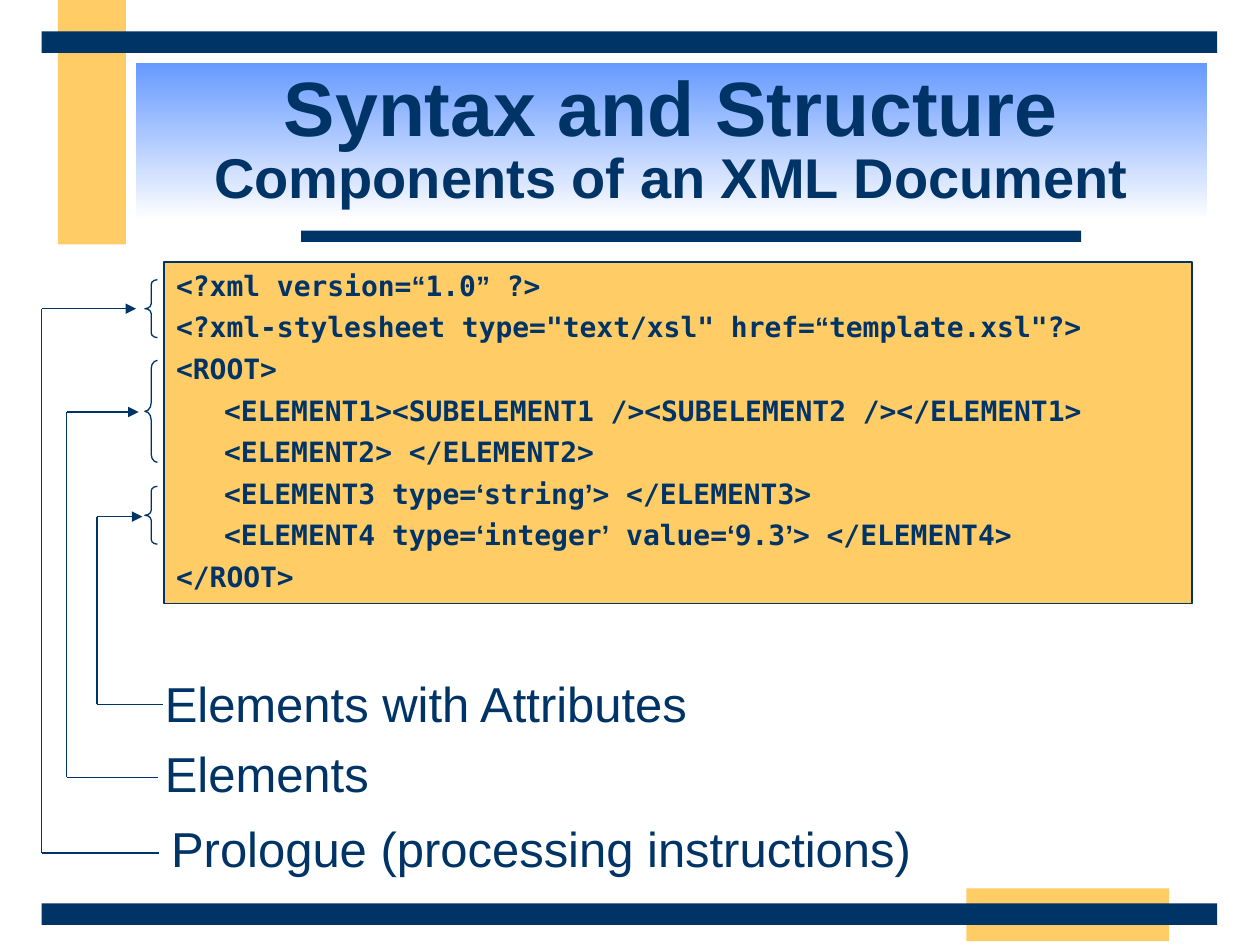
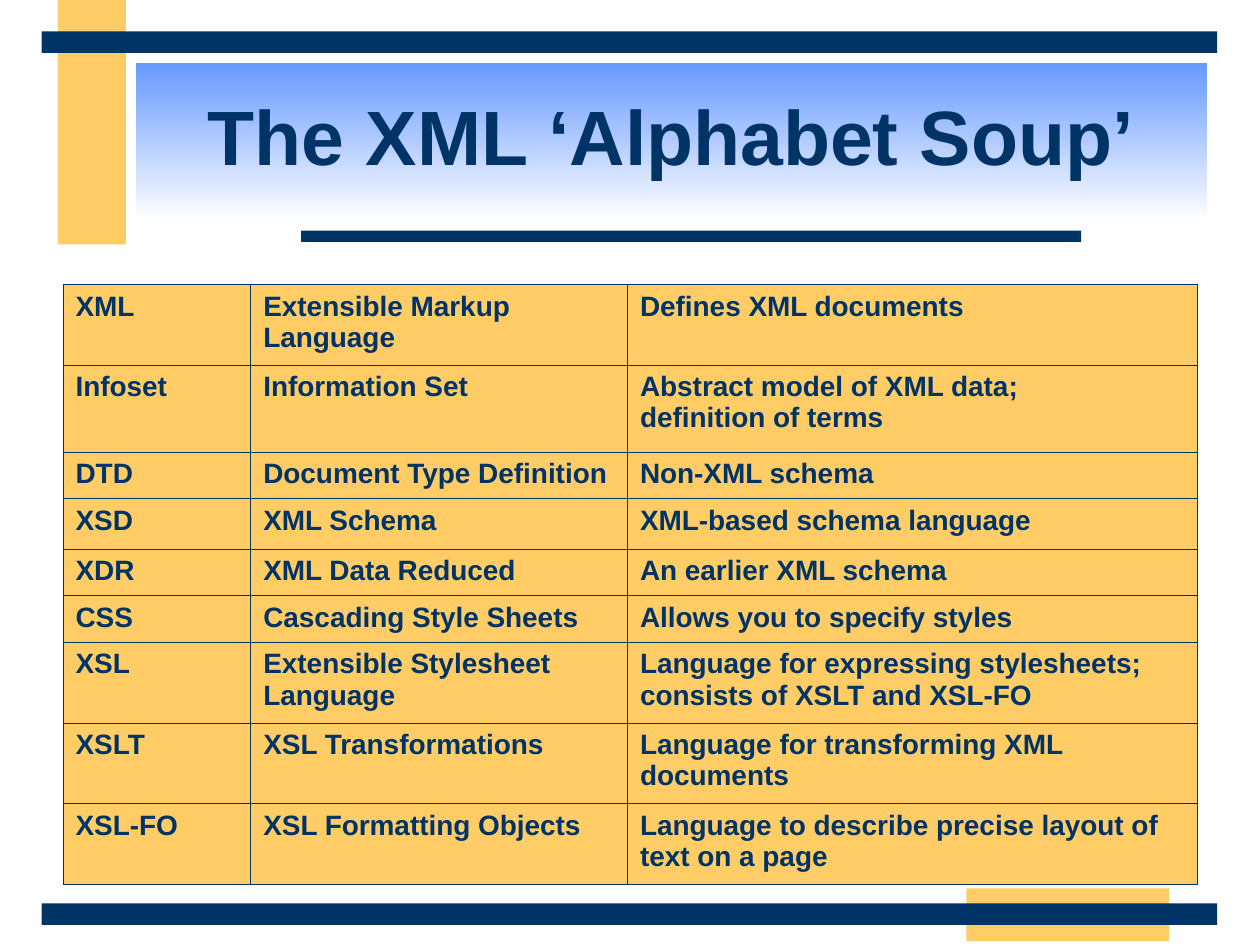
from dataclasses import dataclass
from itertools import groupby, pairwise

from lxml.etree import SubElement
from pptx import Presentation
from pptx.dml.color import RGBColor
from pptx.enum.shapes import MSO_CONNECTOR, MSO_SHAPE
from pptx.enum.text import MSO_ANCHOR, MSO_AUTO_SIZE, PP_ALIGN
from pptx.oxml.ns import qn
from pptx.util import Inches, Pt


@dataclass(frozen=True)
class Theme:
    navy: RGBColor = RGBColor(0x00, 0x33, 0x66)
    gold: RGBColor = RGBColor(0xFF, 0xCC, 0x66)
    sky: RGBColor = RGBColor(0x66, 0x99, 0xFF)
    white: RGBColor = RGBColor(0xFF, 0xFF, 0xFF)
    font: str = "Arial"
    code_font: str = "DejaVu Sans Mono"
    title: int = 44
    subtitle: int = 32
    label: int = 28
    small: int = 16
    hairline: float = 0.75


theme = Theme()
deck = Presentation()
deck.slide_width, deck.slide_height = Inches(10), Inches(7.5)

# The slide is a grid of 100 columns by 75 rows of square cells
CELL = deck.slide_width / 100


def grid(*cells):
    return [round(count * CELL) for count in cells]


def add_span(para, text, size, bold=True, font=theme.font):
    span = para.add_run()
    span.text = text
    span.font.name, span.font.size, span.font.bold = font, Pt(size), bold
    span.font.color.rgb = theme.navy


# Slides and their titles: one (text, size) pair per line
TITLES = [
    [("Syntax and Structure", theme.title),
     ("Components of an XML Document", theme.subtitle)],
    [("The XML ‘Alphabet Soup’", theme.title)],
]
layout = deck.slide_layouts[5]
for lines in TITLES:
    title = deck.slides.add_slide(layout).shapes.title
    title.left, title.top, title.width, title.height = grid(10.8, 5, 85, 12.5)
    title.fill.gradient()
    title.fill.gradient_angle = 270
    for stop, color in zip(title.fill.gradient_stops, (theme.sky, theme.white)):
        stop.color.rgb = color
    frame = title.text_frame
    frame.auto_size = MSO_AUTO_SIZE.NONE
    frame.vertical_anchor = MSO_ANCHOR.MIDDLE
    para = frame.paragraphs[0]
    para.alignment, para.line_spacing = PP_ALIGN.CENTER, 0.85
    for number, (text, size) in enumerate(lines):
        if number:
            para.add_line_break()
        add_span(para, text, size)
structure, soup = deck.slides

# Bands: drawn once, then moved to the layout that both slides share
BANDS = [
    (theme.gold, 4.6, 0, 5.4, 19.4),
    (theme.gold, 76.7, 70.5, 16.1, 4.2),
    (theme.navy, 23.9, 18.3, 61.9, 0.9),
    (theme.navy, 3.3, 71.7, 93.3, 1.7),
    (theme.navy, 3.3, 2.5, 93.3, 1.7),
]
for color, *place in BANDS:
    band = structure.shapes.add_shape(MSO_SHAPE.RECTANGLE, *grid(*place))
    band.shadow.inherit = False
    band.fill.solid()
    band.fill.fore_color.rgb = color
    band.line.fill.background()
    layout.shapes.element.append(band.element)

# Slide 1: code listing, with curly quotes in the text font
CODE = [
    '<?xml version=“1.0” ?>',
    '<?xml-stylesheet type="text/xsl" href=“template.xsl"?>',
    '<ROOT>',
    '\t<ELEMENT1><SUBELEMENT1 /><SUBELEMENT2 /></ELEMENT1>',
    '\t<ELEMENT2> </ELEMENT2>',
    '\t<ELEMENT3 type=‘string’> </ELEMENT3>',
    '\t<ELEMENT4 type=‘integer’ value=‘9.3’> </ELEMENT4>',
    '</ROOT>',
]
listing = structure.shapes.add_shape(MSO_SHAPE.RECTANGLE, *grid(13, 20.8, 81.6, 27.1))
listing.shadow.inherit = False
listing.fill.solid()
listing.fill.fore_color.rgb = theme.gold
listing.line.color.rgb, listing.line.width = theme.navy, Pt(1)
frame = listing.text_frame
frame.word_wrap, frame.vertical_anchor = True, MSO_ANCHOR.TOP
for number, line in enumerate(CODE):
    para = frame.add_paragraph() if number else frame.paragraphs[0]
    para.alignment = PP_ALIGN.LEFT
    para.space_before = Pt(4.6 if number else 0)
    indent = Inches(0.38)
    properties = para._p.get_or_add_pPr()
    properties.set("marL", str(indent))
    properties.set("indent", str(-indent))
    for curly, letters in groupby(line, lambda letter: letter in "“”‘’"):
        add_span(para, "".join(letters), theme.small,
                 font=theme.font if curly else theme.code_font)

# Slide 1: labels below the listing
LABELS = [
    ("Prologue (processing instructions)", 12.6, 64.5, 60.7),
    ("Elements", 12.1, 58.5, 18.2),
    ("Elements with Attributes", 12.1, 53, 43.7),
]
for text, left, top, width in LABELS:
    box = structure.shapes.add_textbox(*grid(left, top, width, 5.7))
    box.text_frame.word_wrap = False
    box.text_frame.auto_size = MSO_AUTO_SIZE.SHAPE_TO_FIT_TEXT
    add_span(box.text_frame.paragraphs[0], text, theme.label, bold=False)

# Slide 1: braces beside the lines they gather
for top, height in [(22.2, 4.6), (28.6, 8.1), (38.6, 4.6)]:
    brace = structure.shapes.add_shape(MSO_SHAPE.LEFT_BRACE, *grid(11.5, top, 1, height))
    brace.shadow.inherit = False
    brace.fill.background()
    brace.line.color.rgb, brace.line.width = theme.navy, Pt(theme.hairline)
    brace.adjustments[0] = height / 12

# Slide 1: routes from label to brace (label edge, label row, bend, brace row, tip)
ROUTES = [
    (12.6, 67.7, 3.3, 24.5, 10.8),
    (12.5, 61.7, 5.3, 32.7, 11),
    (12.9, 55.9, 7.7, 41, 11.3),
]
for start, label_row, bend, brace_row, tip in ROUTES:
    corners = [(start, label_row), (bend, label_row), (bend, brace_row), (tip, brace_row)]
    for begin, end in pairwise(corners):
        arm = structure.shapes.add_connector(MSO_CONNECTOR.STRAIGHT, *grid(*begin, *end))
        arm.line.color.rgb, arm.line.width = theme.navy, Pt(theme.hairline)
        if end == corners[-1]:
            SubElement(arm.line._get_or_add_ln(), qn("a:tailEnd"), type="triangle")
        SubElement(arm.element.spPr, qn("a:effectLst"))

# Slide 2: glossary table, each row led by its height
GLOSSARY = [
    (6.4, "XML", "Extensible Markup Language", "Defines XML documents"),
    (6.9, "Infoset", "Information Set",
     "Abstract model of XML data;\vdefinition of terms"),
    (3.7, "DTD", "Document Type Definition", "Non-XML schema"),
    (4, "XSD", "XML Schema", "XML-based schema language"),
    (3.7, "XDR", "XML Data Reduced", "An earlier XML schema"),
    (3.7, "CSS", "Cascading Style Sheets", "Allows you to specify styles"),
    (6.4, "XSL", "Extensible Stylesheet Language",
     "Language for expressing stylesheets; consists of XSLT and XSL-FO"),
    (6.4, "XSLT", "XSL Transformations", "Language for transforming XML documents"),
    (6.4, "XSL-FO", "XSL Formatting Objects",
     "Language to describe precise layout of text on a page"),
]
COLUMNS = grid(14.9, 29.9, 45.2)
table = soup.shapes.add_table(len(GLOSSARY), len(COLUMNS), *grid(5, 22.6, 90, 47.5)).table
table.first_row = table.horz_banding = False
for column, width in zip(table.columns, COLUMNS):
    column.width = width
for row, (height, *texts) in zip(table.rows, GLOSSARY):
    row.height = grid(height)[0]
    for cell, text in zip(row.cells, texts):
        properties = cell._tc.get_or_add_tcPr()
        for side in ("lnL", "lnR", "lnT", "lnB"):
            border = SubElement(properties, qn(f"a:{side}"), w=str(Pt(0.45)))
            fill = SubElement(border, qn("a:solidFill"))
            SubElement(fill, qn("a:srgbClr"), val=str(theme.navy))
        cell.fill.solid()
        cell.fill.fore_color.rgb = theme.gold
        para = cell.text_frame.paragraphs[0]
        for number, line in enumerate(text.split("\v")):
            if number:
                para.add_line_break()
            add_span(para, line, theme.small)

deck.save("out.pptx")
